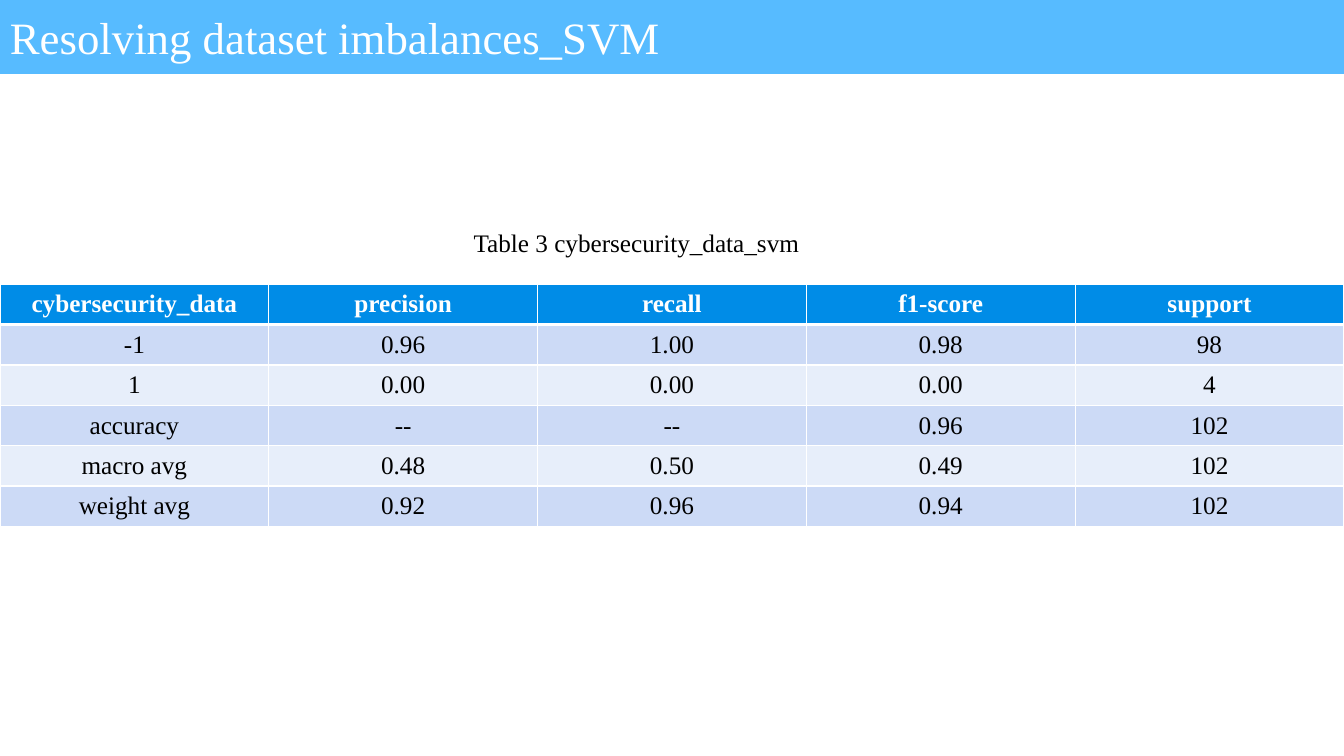
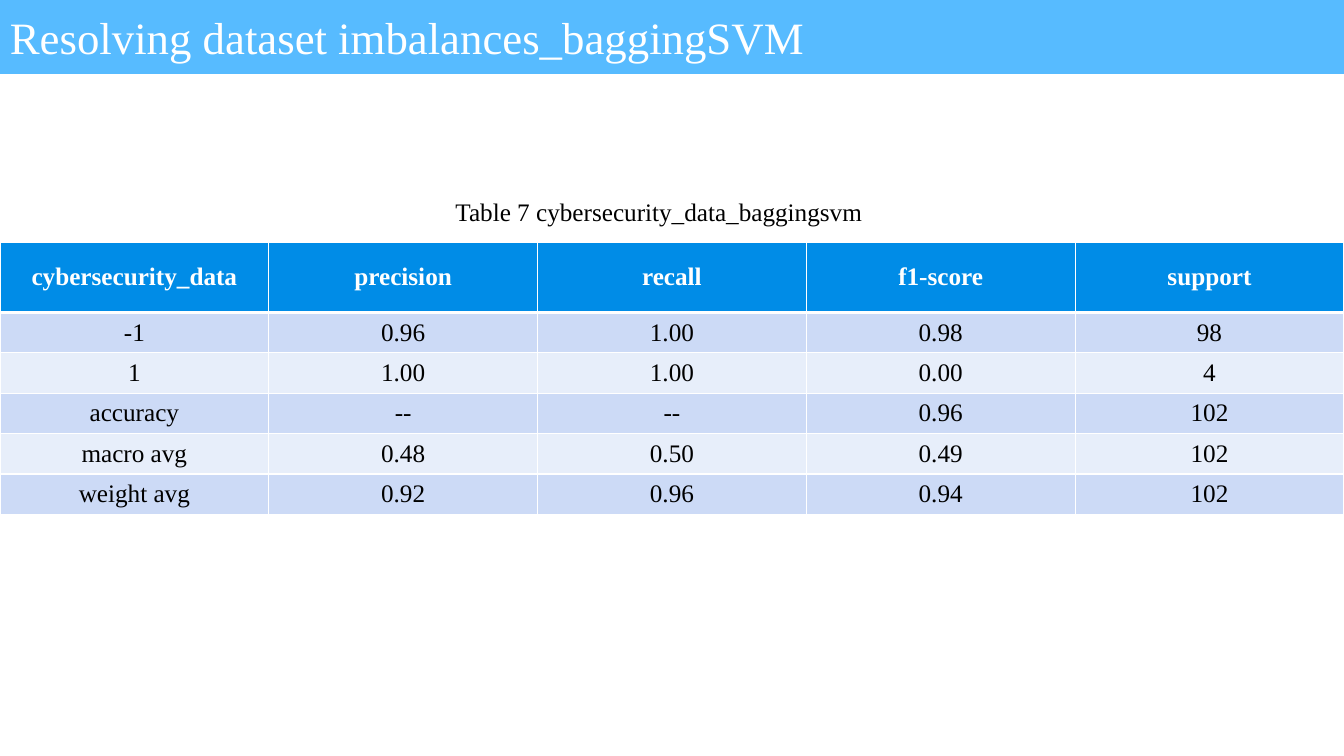
import pptx
import pptx.dml.color
import pptx.enum.shapes
import pptx.enum.text
import pptx.oxml.ns
import pptx.util
from lxml import etree

GRID_COLUMNS, GRID_ROWS = 40, 75
BAND_ROWS = 7.3
LINE_ROWS = 4
HEADER = ["cybersecurity_data", "precision", "recall", "f1-score", "support"]
NEGATIVE_CLASS = ["-1", "0.96", "1.00", "0.98", "98"]
AVERAGES = [
    ["accuracy", "--", "--", "0.96", "102"],
    ["macro avg", "0.48", "0.50", "0.49", "102"],
    ["weight avg", "0.92", "0.96", "0.94", "102"],
]


def colour(value):
    return pptx.dml.color.RGBColor.from_string(value)


class Deck:
    """Hold the shared style and the slide being built."""

    FONT = "Times New Roman"
    WHITE, BLACK = "FFFFFF", "000000"
    BAND, HEAD = "57BBFF", "008CE7"
    STRIPES = ("CCDAF6", "E7EEFA")
    TITLE_SIZE, BODY_SIZE = 32, 18
    THIN, THICK = 1, 3
    LEFT = pptx.enum.text.PP_ALIGN.LEFT
    CENTER = pptx.enum.text.PP_ALIGN.CENTER
    MIDDLE = pptx.enum.text.MSO_ANCHOR.MIDDLE

    def __init__(self):
        self.presentation = pptx.Presentation()
        self.presentation.slide_width = pptx.util.Inches(13.33)
        self.presentation.slide_height = pptx.util.Inches(7.5)
        self.slide = None

    def across(self, columns):
        return round(self.presentation.slide_width * columns / GRID_COLUMNS)

    def down(self, rows):
        return round(self.presentation.slide_height * rows / GRID_ROWS)

    def box(self, left, top, width, height):
        return self.across(left), self.down(top), self.across(width), self.down(height)

    def set_text(self, text_frame, text, size, text_colour, bold=False, alignment=LEFT):
        paragraph = text_frame.paragraphs[0]
        paragraph.text = text
        paragraph.alignment = alignment
        paragraph.font.name = self.FONT
        paragraph.font.size = pptx.util.Pt(size)
        paragraph.font.bold = bold
        paragraph.font.color.rgb = colour(text_colour)

    def add_slide(self, title):
        self.slide = self.presentation.slides.add_slide(self.presentation.slide_layouts[6])
        band = self.slide.shapes.add_shape(
            pptx.enum.shapes.MSO_SHAPE.RECTANGLE, *self.box(0, 0, GRID_COLUMNS, BAND_ROWS)
        )
        band.shadow.inherit = False
        band.fill.solid()
        band.fill.fore_color.rgb = colour(self.BAND)
        band.line.color.rgb = colour(self.BAND)
        band.line.width = pptx.util.Pt(self.THIN)
        band.text_frame.word_wrap = True
        band.text_frame.vertical_anchor = self.MIDDLE
        self.set_text(band.text_frame, title, self.TITLE_SIZE, self.WHITE)

    def add_caption(self, text, left, top):
        caption = self.slide.shapes.add_textbox(*self.box(left, top, 13, LINE_ROWS))
        caption.text_frame.word_wrap = True
        self.set_text(caption.text_frame, text, self.BODY_SIZE, self.BLACK)

    def add_borders(self, cell, top, bottom):
        properties = cell._tc.get_or_add_tcPr()
        widths = {"lnL": self.THIN, "lnR": self.THIN, "lnT": top, "lnB": bottom}
        for side, width in widths.items():
            line = etree.SubElement(
                properties, pptx.oxml.ns.qn(f"a:{side}"), w=str(int(pptx.util.Pt(width)))
            )
            fill = etree.SubElement(line, pptx.oxml.ns.qn("a:solidFill"))
            etree.SubElement(fill, pptx.oxml.ns.qn("a:srgbClr"), val=self.WHITE)

    def add_table(self, records, top, header_rows):
        height = header_rows + LINE_ROWS * (len(records) - 1)
        table = self.slide.shapes.add_table(
            len(records), len(HEADER), *self.box(0, top, GRID_COLUMNS, height)
        ).table
        for column in table.columns:
            column.width = self.across(GRID_COLUMNS / len(HEADER))
        for index, record in enumerate(records):
            is_header = index == 0
            table.rows[index].height = self.down(header_rows if is_header else LINE_ROWS)
            fill = self.HEAD if is_header else self.STRIPES[(index - 1) % 2]
            text_colour = self.WHITE if is_header else self.BLACK
            upper = self.THICK if index == 1 else self.THIN
            lower = self.THICK if is_header else self.THIN
            for cell, text in zip(table.rows[index].cells, record):
                self.add_borders(cell, upper, lower)
                cell.fill.solid()
                cell.fill.fore_color.rgb = colour(fill)
                cell.vertical_anchor = self.MIDDLE
                self.set_text(
                    cell.text_frame, text, self.BODY_SIZE, text_colour, is_header, self.CENTER
                )


def scores(positive_class):
    return [HEADER, NEGATIVE_CLASS, positive_class, *AVERAGES]


def main():
    deck = Deck()

    deck.add_slide("Resolving dataset imbalances_SVM")
    deck.add_caption("Table 3 cybersecurity_data_svm", 13.8, 22.1)
    deck.add_table(scores(["1", "0.00", "0.00", "0.00", "4"]), 28.2, LINE_ROWS)

    deck.add_slide("Resolving dataset imbalances_baggingSVM")
    deck.add_caption("Table 7 cybersecurity_data_baggingsvm", 13.26, 19)
    deck.add_table(scores(["1", "1.00", "1.00", "0.00", "4"]), 24, 7)

    deck.presentation.save("out.pptx")


if __name__ == "__main__":
    main()
